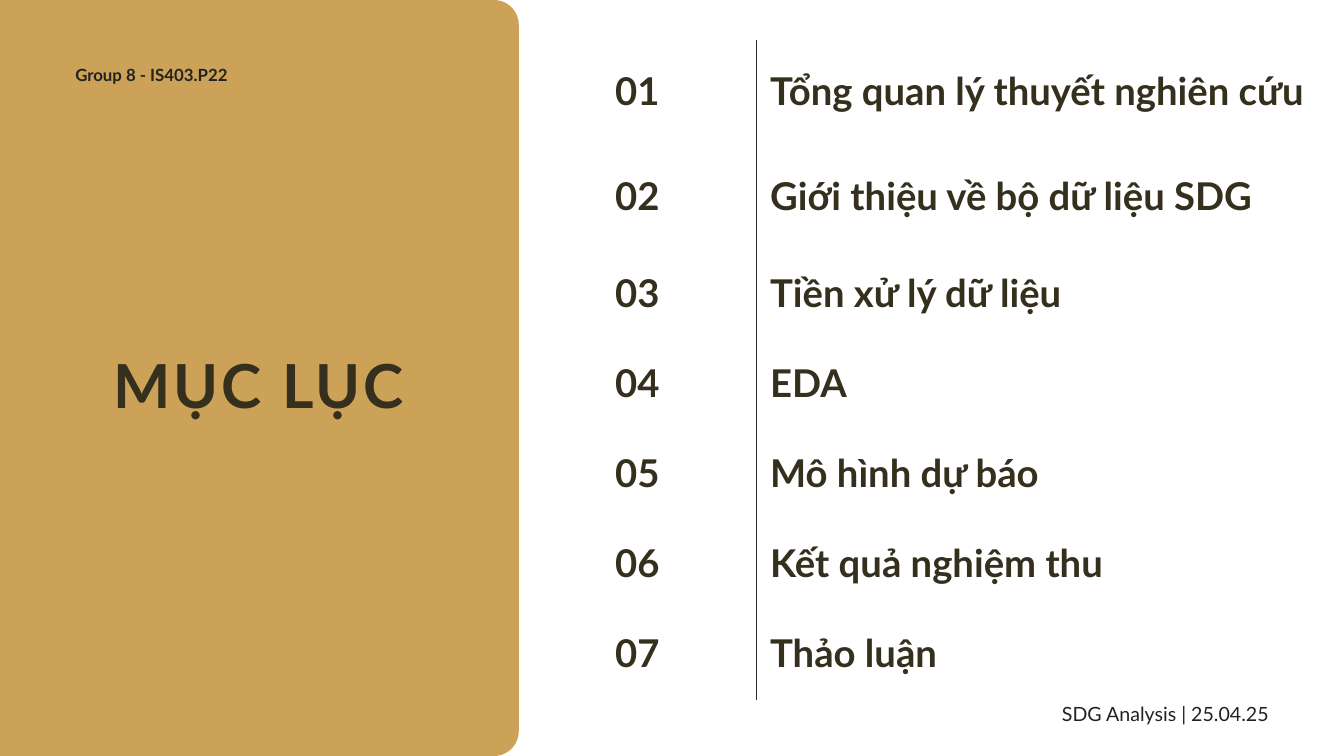
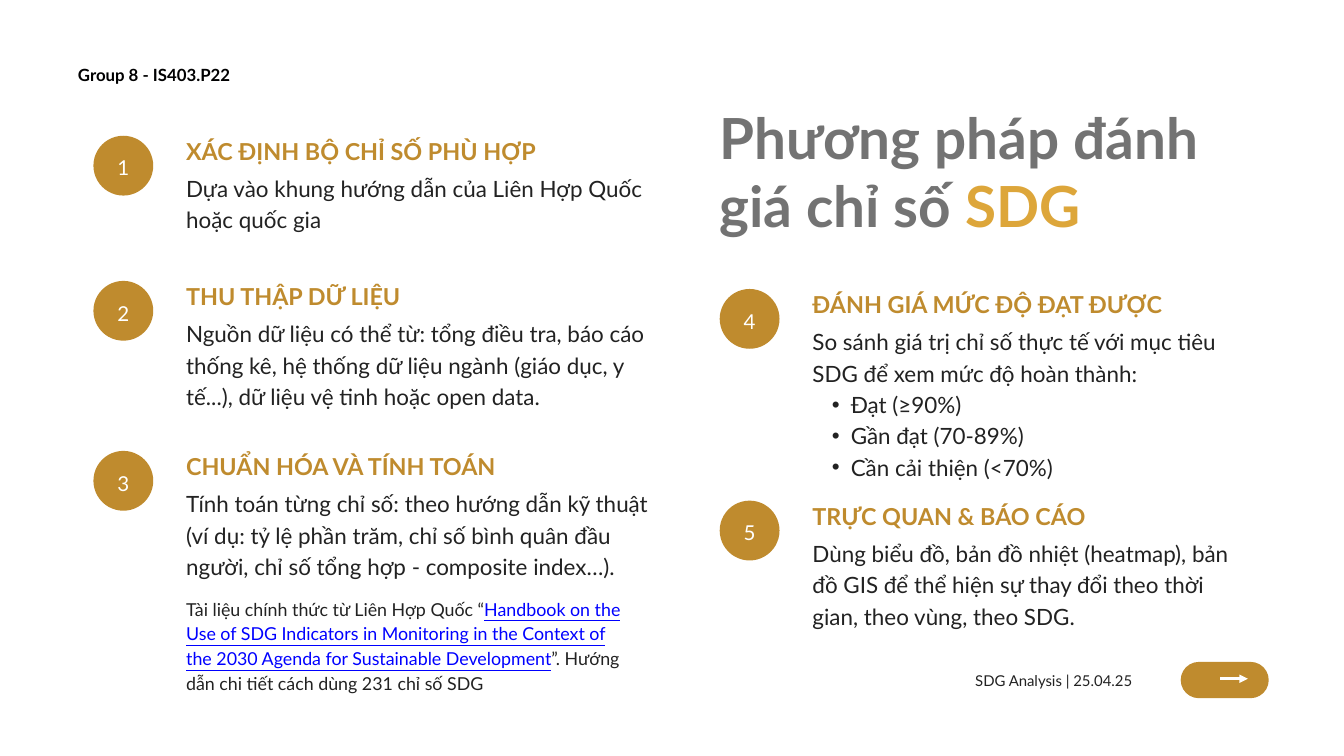
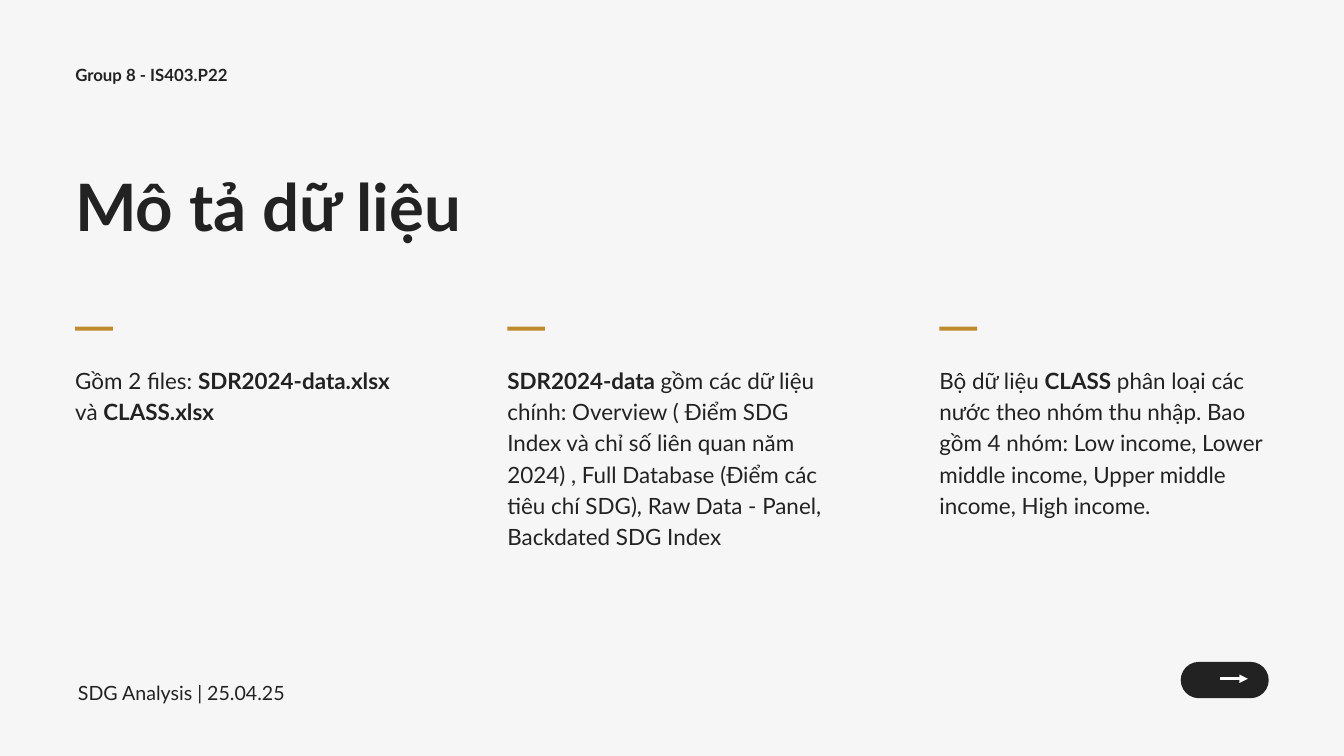
from lxml import etree
from pptx import Presentation
from pptx.dml.color import RGBColor
from pptx.enum.shapes import MSO_CONNECTOR, MSO_SHAPE
from pptx.enum.text import MSO_ANCHOR, MSO_AUTO_SIZE, PP_ALIGN
from pptx.oxml.ns import qn
from pptx.util import Inches, Pt

LEFT, CENTER, RIGHT = PP_ALIGN.LEFT, PP_ALIGN.CENTER, PP_ALIGN.RIGHT
TOP, MIDDLE = MSO_ANCHOR.TOP, MSO_ANCHOR.MIDDLE
OVAL, RECT, ROUNDED = MSO_SHAPE.OVAL, MSO_SHAPE.RECTANGLE, MSO_SHAPE.ROUNDED_RECTANGLE
STRAIGHT = MSO_CONNECTOR.STRAIGHT
NO_AUTOFIT = MSO_AUTO_SIZE.NONE

GOLD = RGBColor(0xBF, 0x8B, 0x2E)
AMBER = RGBColor(0xDD, 0xA6, 0x3A)
OLIVE = RGBColor(0x35, 0x2F, 0x1D)
INK = RGBColor(0x22, 0x22, 0x22)
NEAR_BLACK = RGBColor(0x00, 0x00, 0x01)
RULE = RGBColor(0x2B, 0x2B, 0x2B)
GRAY = RGBColor(0x73, 0x73, 0x73)
LINK_BLUE = RGBColor(0x00, 0x00, 0xFF)
WHITE = RGBColor(0xFF, 0xFF, 0xFF)
PALE = RGBColor(0xF6, 0xF6, 0xF6)

FONT = "Lato"
GROUP_NAME = "Group 8 - IS403.P22"
FOOTER = "SDG Analysis | 25.04.25"

# Each style: font values, exact line height in points, text colour
BODY = {"font": {"size": Pt(24), "bold": False}, "line": 33.6, "color": INK}
HEADING = {"font": {"size": Pt(25), "bold": True}, "line": 35, "color": GOLD}
BADGE = {"font": {"size": Pt(22), "bold": False}, "line": 30.8, "color": WHITE}
NOTE = {"font": {"size": Pt(19.1), "bold": False}, "line": 26.7, "color": INK}
GROUP_TAG = {"font": {"size": Pt(18), "bold": True}, "line": 21.6, "color": INK}
FOOTER_LARGE = {"font": {"size": Pt(21), "bold": False}, "line": 29.4, "color": INK}
FOOTER_SMALL = {"font": {"size": Pt(16), "bold": False}, "line": 22.4, "color": INK}
AGENDA = {"font": {"size": Pt(41), "bold": True}, "line": 45.1, "color": OLIVE}
TITLE_AGENDA = {"font": {"size": Pt(65), "bold": True}, "line": 91, "color": OLIVE}
TITLE_METHOD = {"font": {"size": Pt(60.7), "bold": True}, "line": 72.8, "color": GRAY}
TITLE_DATA = {"font": {"size": Pt(70), "bold": True}, "line": 84, "color": INK}

TOPICS = ["Tổng quan lý thuyết nghiên cứu", "Giới thiệu về bộ dữ liệu SDG",
          "Tiền xử lý dữ liệu", "EDA", "Mô hình dự báo",
          "Kết quả nghiệm thu", "Thảo luận"]

# Left, top, text width, heading, text, bullets
STEPS = [
    (1.39, 1.97, 6.96, "XÁC ĐỊNH BỘ CHỈ SỐ PHÙ HỢP",
     "Dựa vào khung hướng dẫn của Liên Hợp Quốc hoặc quốc gia", []),
    (1.39, 4.13, 6.96, "THU THẬP DỮ LIỆU",
     "Nguồn dữ liệu có thể từ: tổng điều tra, báo cáo thống kê, hệ thống dữ liệu "
     "ngành (giáo dục, y tế...), dữ liệu vệ tinh hoặc open data.", []),
    (1.39, 6.66, 6.96, "CHUẨN HÓA VÀ TÍNH TOÁN",
     "Tính toán từng chỉ số: theo hướng dẫn kỹ thuật (ví dụ: tỷ lệ phần trăm, chỉ số "
     "bình quân đầu người, chỉ số tổng hợp - composite index…).", []),
    (10.71, 4.25, 6.29, "ĐÁNH GIÁ MỨC ĐỘ ĐẠT ĐƯỢC",
     "So sánh giá trị chỉ số thực tế với mục tiêu SDG để xem mức độ hoàn thành:",
     ["Đạt (≥90%)", "Gần đạt (70-89%)", "Cần cải thiện (<70%)"]),
    (10.71, 7.4, 6.29, "TRỰC QUAN & BÁO CÁO",
     "Dùng biểu đồ, bản đồ nhiệt (heatmap), bản đồ GIS để thể hiện sự thay đổi "
     "theo thời gian, theo vùng, theo SDG.", []),
]

BOLD = {"bold": True}
DATA_COLUMNS = [
    [("Gồm 2 files: ", {}), ("SDR2024-data.xlsx", BOLD), (" và ", {}), ("CLASS.xlsx", BOLD)],
    [("SDR2024-data", BOLD),
     (" gồm các dữ liệu chính: Overview ( Điểm SDG Index và chỉ số liên quan năm 2024) , "
      "Full Database (Điểm các tiêu chí SDG), Raw Data - Panel, Backdated SDG Index", {})],
    [("Bộ dữ liệu ", {}), ("CLASS", BOLD),
     (" phân loại các nước theo nhóm thu nhập. Bao gồm 4 nhóm: Low income, "
      "Lower middle income, Upper middle income, High income.", {})],
]


def inches(*lengths):
    return [Inches(length) for length in lengths]


def write_para(para, spans, style, align=LEFT):
    """Fill a paragraph; spans is a string or a list of (text, overrides)."""
    if isinstance(spans, str):
        spans = [(spans, {})]
    para.alignment = align
    para.line_spacing = Pt(style["line"])
    for text, overrides in spans:
        span = para.add_run()
        span.text = text
        values = {"name": FONT, **style["font"], **overrides}
        span.font.color.rgb = values.pop("color", style["color"])
        for name, value in values.items():
            setattr(span.font, name, value)


def prepare_frame(frame, anchor=TOP):
    values = {"word_wrap": True, "auto_size": NO_AUTOFIT, "vertical_anchor": anchor,
              "margin_left": 0, "margin_top": 0, "margin_right": 0, "margin_bottom": 0}
    for name, value in values.items():
        setattr(frame, name, value)


def add_text(page, box, spans, style, align=LEFT):
    frame = page.shapes.add_textbox(*inches(*box)).text_frame
    prepare_frame(frame)
    write_para(frame.paragraphs[0], spans, style, align)
    return frame


def add_bullet(frame, text, style):
    para = frame.add_paragraph()
    para.level = 1
    props = para._p.get_or_add_pPr()
    props.set("marL", str(Inches(0.57)))
    props.set("indent", str(Inches(-0.28)))
    etree.SubElement(props, qn("a:buFont"), typeface="Arial")
    etree.SubElement(props, qn("a:buChar"), char="•")
    write_para(para, text, style)


def add_block(page, kind, box, color):
    block = page.shapes.add_shape(kind, *inches(*box))
    block.shadow.inherit = False
    block.fill.solid()
    block.fill.fore_color.rgb = color
    block.line.fill.background()
    return block


def add_title(page, box, spans, style, align=LEFT):
    """Place the title placeholder in front of everything drawn so far."""
    title = page.shapes.title
    title.left, title.top, title.width, title.height = inches(*box)
    prepare_frame(title.text_frame)
    write_para(title.text_frame.paragraphs[0], spans, style, align)
    title._element.getparent().append(title._element)
    return title


def add_page(deck, background):
    page = deck.slides.add_slide(deck.slide_layouts[5])
    page.background.fill.solid()
    page.background.fill.fore_color.rgb = background
    return page


def add_group_tag(page, left=1.12, color=INK):
    add_text(page, (left, 0.97, 4.98, 0.3), GROUP_NAME, {**GROUP_TAG, "color": color})


def add_next_button(page, color, left=17.57, top=9.85):
    pill = add_block(page, ROUNDED, (left, top, 1.31, 0.54), color)
    pill.adjustments[0] = 0.5
    y = top + 0.25
    arrow = page.shapes.add_connector(STRAIGHT, *inches(left + 0.59, y, left + 1, y))
    arrow.line.color.rgb = WHITE
    arrow.line.width = Pt(3)
    etree.SubElement(arrow.line._get_or_add_ln(), qn("a:tailEnd"), type="triangle")
    etree.SubElement(arrow._element.spPr, qn("a:effectLst"))


def set_borders(cell, ruled_side):
    """Rule one side of a cell and leave the others without a line."""
    props = cell._tc.get_or_add_tcPr()
    for index, side in enumerate(("lnL", "lnR", "lnT", "lnB")):
        border = etree.Element(qn(f"a:{side}"))
        if side == ruled_side:
            border.set("w", str(Pt(0.75)))
            fill = etree.SubElement(border, qn("a:solidFill"))
            etree.SubElement(fill, qn("a:srgbClr"), val=str(RULE))
        else:
            etree.SubElement(border, qn("a:noFill"))
        props.insert(index, border)


def add_agenda_table(page, left, top):
    widths = [3.53, 8.76]
    heights = [1.56] * 2 + [1.34] * 5
    box = inches(left, top, sum(widths), sum(heights))
    table = page.shapes.add_table(len(heights), len(widths), *box).table
    table.first_row = table.horz_banding = False
    for column, width in zip(table.columns, widths):
        column.width = Inches(width)
    for row, height in zip(table.rows, heights):
        row.height = Inches(height)
    for index, topic in enumerate(TOPICS):
        entries = [(f"{index + 1:02}", CENTER, "lnR"), (topic, LEFT, "lnL")]
        for cell, (text, align, ruled_side) in zip(table.rows[index].cells, entries):
            cell.fill.solid()
            cell.fill.fore_color.rgb = WHITE
            cell.vertical_anchor = MIDDLE
            for side in ("left", "top", "right", "bottom"):
                setattr(cell, f"margin_{side}", Inches(0.21))
            set_borders(cell, ruled_side)
            write_para(cell.text_frame.paragraphs[0], text, AGENDA, align)


def add_side_panel(page):
    panel = add_block(page, ROUNDED, (-1.52, 0, 9.24, 11.25), GOLD)
    panel.adjustments[0] = 0.04
    color = panel._element.spPr.find(qn("a:solidFill")).find(qn("a:srgbClr"))
    etree.SubElement(color, qn("a:alpha"), val="80000")


def add_step(page, number, left, top, width, heading, text, bullets):
    """Numbered badge with a heading, a text and optional bullets beside it."""
    text_left = left + 1.38
    add_text(page, (text_left, top, width, 0.46), heading, HEADING)
    height = 2.26 if bullets else 1.35
    frame = add_text(page, (text_left, top + 0.57, width, height), text, BODY)
    for bullet in bullets:
        add_bullet(frame, bullet, BODY)
    badge = add_block(page, OVAL, (left, top + 0.05, 0.89, 0.89), GOLD)
    prepare_frame(badge.text_frame, MIDDLE)
    write_para(badge.text_frame.paragraphs[0], str(number), BADGE, CENTER)


def add_data_column(page, left, top, spans):
    add_block(page, RECT, (left, top, 0.56, 0.06), GOLD)
    add_text(page, (left, top + 0.53, 4.9, 2.72), spans, BODY)


def build_agenda(deck):
    page = add_page(deck, WHITE)
    add_agenda_table(page, 7.72, 0.6)
    add_text(page, (12.82, 10.39, 6.06, 0.4), FOOTER, FOOTER_LARGE, RIGHT)
    add_side_panel(page)
    add_group_tag(page)
    title = add_title(page, (1.66, 4.99, 4.39, 1.22), "MỤC LỤC", TITLE_AGENDA, CENTER)
    title.text_frame.paragraphs[0].runs[0]._r.get_or_add_rPr().set("spc", "320")


def build_method(deck):
    page = add_page(deck, WHITE)
    for number, step in enumerate(STEPS, 1):
        add_step(page, number, *step)
    add_group_tag(page, 1.16, NEAR_BLACK)
    add_title(page, (10.71, 1.53, 8.16, 2.01),
              [("Phương pháp đánh giá chỉ số", {}), (" SDG", {"color": AMBER})], TITLE_METHOD)
    handbook = ("Handbook on the Use of SDG Indicators in Monitoring in the Context of "
                "the 2030 Agenda for Sustainable Development")
    add_text(page, (2.77, 8.85, 6.48, 1.45),
             [("Tài liệu chính thức từ Liên Hợp Quốc “", {}),
              (handbook, {"color": LINK_BLUE, "underline": True}),
              ("”. Hướng dẫn chi tiết cách dùng 231 chỉ số SDG", {})], NOTE)
    add_text(page, (14.5, 9.95, 2.35, 0.3), FOOTER, FOOTER_SMALL, RIGHT)
    add_next_button(page, GOLD)


def build_data(deck):
    page = add_page(deck, PALE)
    add_title(page, (1.12, 2.47, 7.92, 1.17), "Mô tả dữ liệu", TITLE_DATA)
    for index, spans in enumerate(DATA_COLUMNS):
        add_data_column(page, 1.12 + 6.43 * index, 4.86, spans)
    add_group_tag(page)
    add_next_button(page, INK)
    add_text(page, (1.16, 10.07, 6.06, 0.4), FOOTER, FOOTER_LARGE)


def main():
    deck = Presentation()
    deck.slide_width, deck.slide_height = inches(20, 11.25)
    build_agenda(deck)
    build_method(deck)
    build_data(deck)
    deck.save("out.pptx")


if __name__ == "__main__":
    main()
